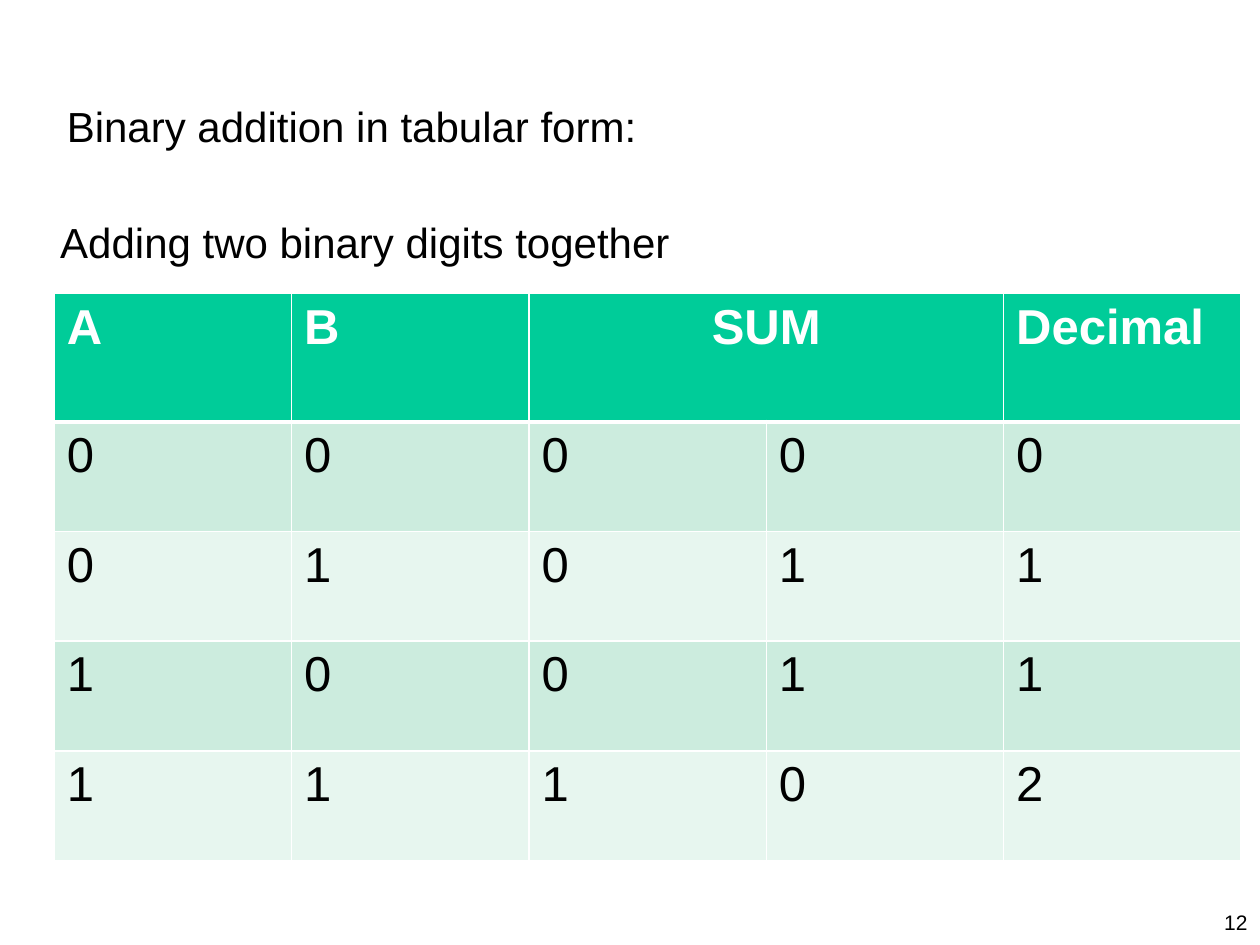
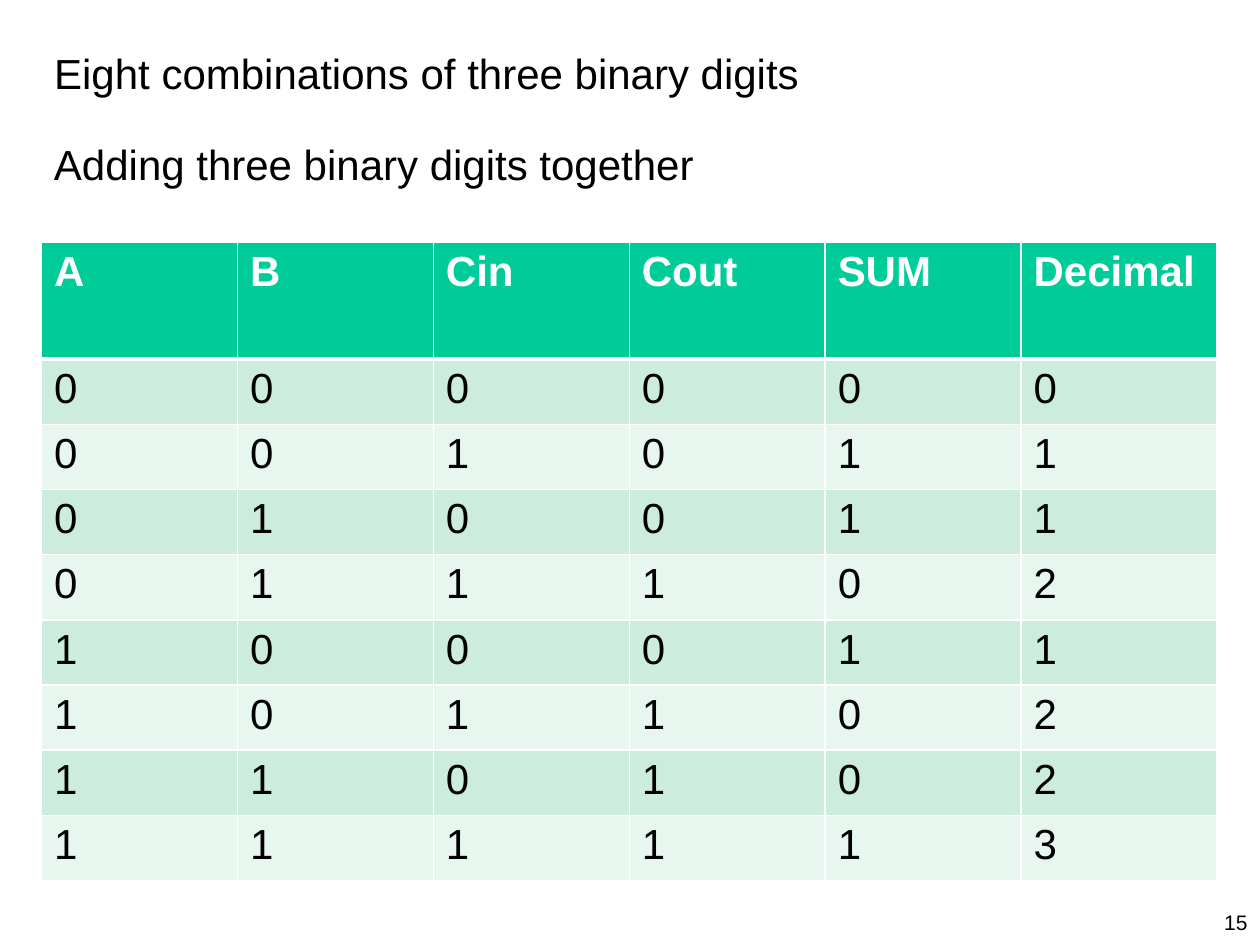
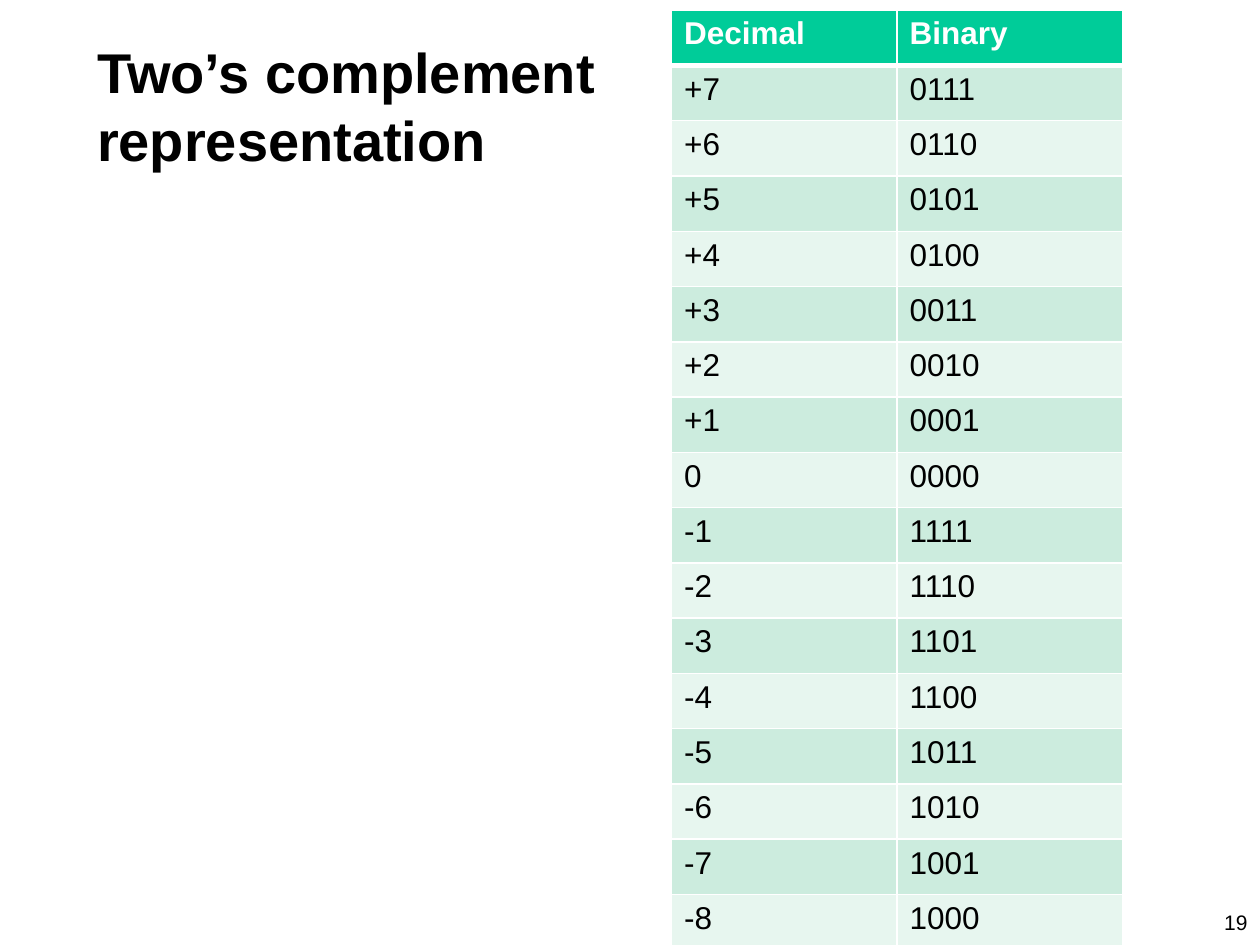
from dataclasses import dataclass
from itertools import product

from lxml import etree
from pptx import Presentation
from pptx import util as u
from pptx.dml.color import RGBColor
from pptx.enum import text as t
from pptx.oxml import ns


@dataclass(frozen=True)
class Theme:
    """Colours, type sizes and line widths shared by the slides."""
    font: str = "Arial"
    ink: str = "000000"
    paper: str = "FFFFFF"
    head: str = "00CC99"
    bands: tuple = ("CCECDE", "E7F6EF")
    large: int = 32
    big: int = 28
    text: int = 24
    small: int = 18
    page: int = 12
    thin: int = 1
    thick: int = 3


TH = Theme()
LEFT, MID, RIGHT = t.PP_ALIGN.LEFT, t.PP_ALIGN.CENTER, t.PP_ALIGN.RIGHT


def write(frame, words, size, color=TH.ink, bold=False, align=LEFT):
    """Put one formatted run in the first paragraph of a frame."""
    para = frame.paragraphs[0]
    para.alignment = align
    run = para.add_run()
    run.text = words
    font = run.font
    font.name, font.size, font.bold = TH.font, u.Pt(size), bold
    font.color.rgb = RGBColor.from_string(color)


def place(shape, box, words, size, bold=False, align=LEFT):
    """Fit a text shape to its box and fill it."""
    shape.left, shape.top, shape.width, shape.height = map(u.Inches, box)
    frame = shape.text_frame
    frame.word_wrap = True
    frame.auto_size = t.MSO_AUTO_SIZE.NONE
    frame.vertical_anchor = t.MSO_ANCHOR.TOP
    write(frame, words, size, bold=bold, align=align)


def label(slide, box, words, size=TH.text, align=LEFT):
    """Add a text box."""
    place(slide.shapes.add_textbox(*map(u.Inches, box)), box, words, size, align=align)


def start(deck, page, box, title, size=TH.text, bold=False):
    """Add a slide with its title and page number."""
    slide = deck.slides.add_slide(deck.slide_layouts[5])
    place(slide.shapes.title, box, title, size, bold)
    label(slide, (7.92, 7.17, 2.08, 0.5), str(page), TH.page, RIGHT)
    return slide


def edge(cell, side, width):
    """Draw one side of a cell in the paper colour."""
    line = etree.SubElement(cell._tc.get_or_add_tcPr(), ns.qn("a:ln" + side), w=str(u.Pt(width)))
    fill = etree.SubElement(line, ns.qn("a:solidFill"))
    etree.SubElement(fill, ns.qn("a:srgbClr"), val=TH.paper)


def style(cell, row):
    """Set the borders and the fill of a cell by its row."""
    top = TH.thick if row == 1 else TH.thin
    low = TH.thick if row == 0 else TH.thin
    for side, width in zip("LRTB", (TH.thin, TH.thin, top, low)):
        edge(cell, side, width)
    cell.fill.solid()
    color = TH.bands[(row - 1) % 2] if row else TH.head
    cell.fill.fore_color.rgb = RGBColor.from_string(color)


def grid(slide, box, heads, rows, size, first):
    """Add a banded table; an empty head joins the one before it."""
    data = [heads, *rows]
    table = slide.shapes.add_table(len(data), len(heads), *map(u.Inches, box)).table
    for col in table.columns:
        col.width = u.Inches(box[2] / len(heads))
    for i, line in enumerate(data):
        table.rows[i].height = u.Inches((box[3] - first) / len(rows) if i else first)
        for j, word in enumerate(line):
            cell = table.cell(i, j)
            style(cell, i)
            if word == "":
                table.cell(i, j - 1).merge(cell)
                continue
            joined = line[j + 1:j + 2] == [""]
            write(cell.text_frame, str(word), size, TH.ink if i else TH.paper,
                  i == 0, MID if joined else LEFT)


def sums(count):
    """List every choice of bits with its two-bit sum and decimal value."""
    return [[*bits, *format(sum(bits), "02b"), sum(bits)]
            for bits in product((0, 1), repeat=count)]


def pair(deck):
    """Build the slide on adding two digits."""
    slide = start(deck, 12, (0.43, 0.75, 4.77, 0.51), "Binary addition in tabular form:")
    grid(slide, (0.43, 2.33, 9.42, 4.5), ["A", "B", "SUM", "", "Decimal"],
         sums(2), TH.big, 1.02)
    label(slide, (0.38, 1.67, 7, 0.51), "Adding two binary digits together")


def triple(deck):
    """Build the slide on adding three digits."""
    slide = start(deck, 15, (0.33, 0.33, 7.92, 0.51),
                  "Eight combinations of three binary digits")
    label(slide, (0.33, 1.05, 8.58, 0.51), "Adding three binary digits together")
    grid(slide, (0.33, 1.92, 9.33, 5.07), ["A", "B", "Cin", "Cout", "SUM", "Decimal"],
         sums(3), TH.text, 0.93)


def signed(deck):
    """Build the slide on two's complement."""
    slide = start(deck, 19, (0.67, 0.25, 5.67, 1.18),
                  "Two\u2019s complement representation", TH.large, True)
    rows = [[f"{n:+d}" if n else "0", format(n % 16, "04b")] for n in range(7, -9, -1)]
    grid(slide, (5.33, 0.08, 3.58, 7.46), ["Decimal", "Binary"], rows, TH.small, 0.44)


def main():
    """Build and save the deck."""
    deck = Presentation()
    deck.slide_width, deck.slide_height = u.Inches(10), u.Inches(7.5)
    for build in (pair, triple, signed):
        build(deck)
    deck.save("out.pptx")


main()
